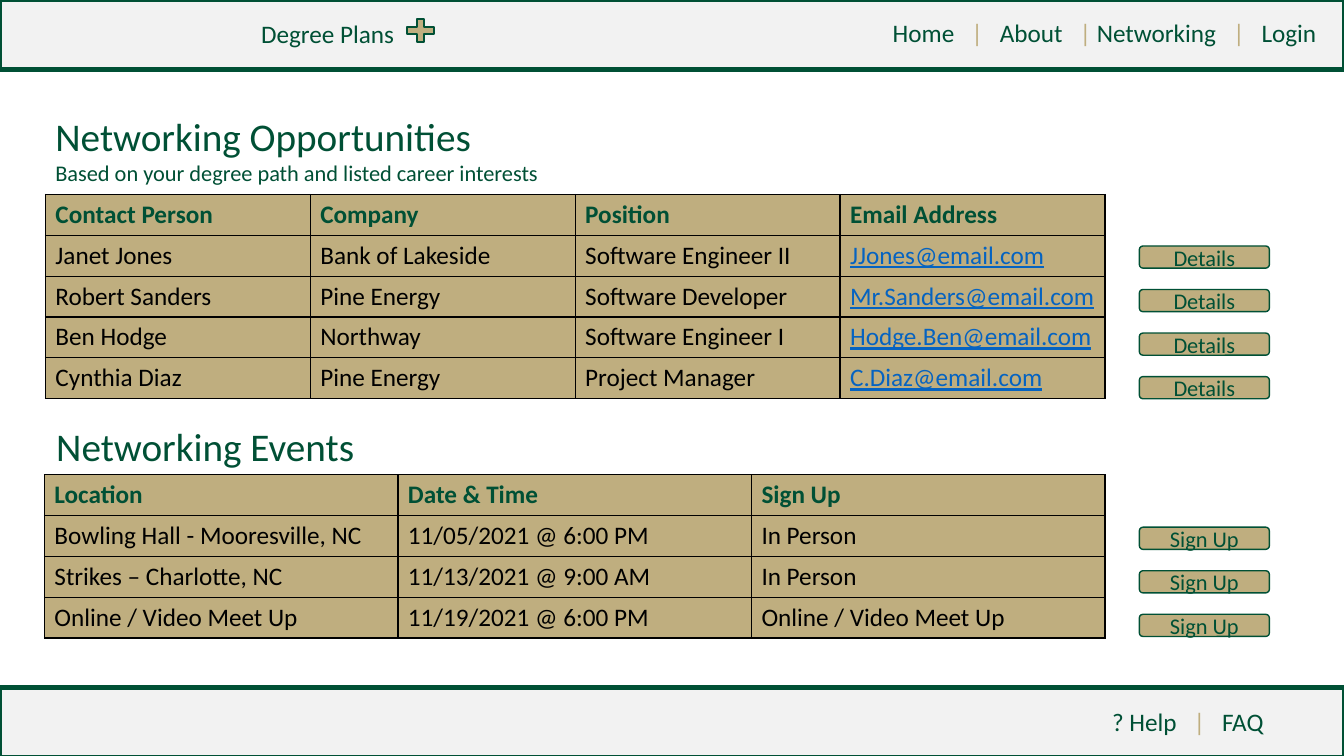
from lxml import etree
from pptx import Presentation
from pptx.dml.color import RGBColor
from pptx.enum.shapes import MSO_SHAPE
from pptx.enum.text import MSO_ANCHOR, PP_ALIGN
from pptx.oxml.ns import qn
from pptx.util import Inches, Pt

RECT = MSO_SHAPE.RECTANGLE
ROUND = MSO_SHAPE.ROUNDED_RECTANGLE
PLUS = MSO_SHAPE.MATH_PLUS
LEFT, CENTER = PP_ALIGN.LEFT, PP_ALIGN.CENTER
TOP, MIDDLE = MSO_ANCHOR.TOP, MSO_ANCHOR.MIDDLE
GREEN, GOLD, GRAY = "005035", "BFAE7F", "F2F2F2"
BLACK, BLUE = "000000", "0563C1"


def color(code):
    return RGBColor.from_string(code)


def write(frame, text, size=18, ink=GREEN, bold=False, under=False,
          align=LEFT, gap=0):
    para = frame.paragraphs[0]
    para.alignment = align
    run = para.add_run()
    run.text = text
    font = run.font
    font.name, font.size = "Calibri", Pt(size)
    font.bold, font.underline = bold, under
    font.color.rgb = color(ink)
    if gap:
        font._element.set("spc", str(gap * 100))


def border(cell):
    props = cell._tc.get_or_add_tcPr()
    for side in ("lnL", "lnR", "lnT", "lnB"):
        line = etree.SubElement(props, qn("a:" + side), w=str(Pt(1)))
        fill = etree.SubElement(line, qn("a:solidFill"))
        etree.SubElement(fill, qn("a:srgbClr"), val=BLACK)


class Page:
    def __init__(self, slide):
        self.slide = slide
        self.shapes = slide.shapes

    def title(self, text, *box):
        item = self.shapes.title
        item.left, item.top, item.width, item.height = map(Inches, box)
        item.text_frame.vertical_anchor = TOP
        item.text_frame.word_wrap = True
        write(item.text_frame, text, size=28)

    def text(self, text, *box, **style):
        frame = self.shapes.add_textbox(*map(Inches, box)).text_frame
        frame.word_wrap = True
        if text:
            write(frame, text, **style)
        return frame

    def menu(self, names, tight, *box):
        frame = self.text("", *box)
        for i, name in enumerate(names):
            if i:
                write(frame, " ", align=CENTER, gap=8)
                write(frame, "|", ink=GOLD, align=CENTER,
                      gap=0 if name == tight else 8)
                name = " " + name
            write(frame, name, align=CENTER)

    def shape(self, kind, *box, fill=GOLD, width=1, text=""):
        item = self.shapes.add_shape(kind, *map(Inches, box))
        item.shadow.inherit = False
        item.fill.solid()
        item.fill.fore_color.rgb = color(fill)
        item.line.color.rgb = color(GREEN)
        item.line.width = Pt(width)
        if text:
            item.text_frame.vertical_anchor = MIDDLE
            write(item.text_frame, text, size=16, align=CENTER)

    def table(self, rows, left, top, width):
        high = 0.405
        grid = self.shapes.add_table(
            len(rows), len(rows[0]), Inches(left), Inches(top),
            Inches(width), Inches(high * len(rows))).table
        for r, row in enumerate(rows):
            for c, text in enumerate(row):
                cell = grid.cell(r, c)
                border(cell)
                cell.fill.solid()
                cell.fill.fore_color.rgb = color(GOLD)
                mail = "@email" in text
                ink = GREEN if r == 0 else BLUE if mail else BLACK
                write(cell.text_frame, text, ink=ink, bold=r == 0, under=mail)

    def buttons(self, text, count, top):
        for i in range(count):
            self.shape(ROUND, 11.3, top + i * 0.432, 1.29, 0.22, text=text)


PEOPLE = [
    ("Contact Person", "Company", "Position", "Email Address"),
    ("Janet Jones", "Bank of Lakeside", "Software Engineer II",
     "JJones@email.com"),
    ("Robert Sanders", "Pine Energy", "Software Developer",
     "Mr.Sanders@email.com"),
    ("Ben Hodge", "Northway", "Software Engineer I", "Hodge.Ben@email.com"),
    ("Cynthia Diaz", "Pine Energy", "Project Manager", "C.Diaz@email.com"),
]
EVENTS = [
    ("Location", "Date & Time", "Sign Up"),
    ("Bowling Hall - Mooresville, NC", "11/05/2021 @ 6:00 PM", "In Person"),
    ("Strikes – Charlotte, NC", "11/13/2021 @ 9:00 AM", "In Person"),
    ("Online / Video Meet Up", "11/19/2021 @ 6:00 PM",
     "Online / Video Meet Up"),
]

deck = Presentation()
deck.slide_width, deck.slide_height = Inches(13.33), Inches(7.5)
page = Page(deck.slides.add_slide(deck.slide_layouts[5]))

page.title("Networking Opportunities", 0.45, 1.06, 4.61, 0.57)
page.text("Based on your degree path and listed career interests",
          0.45, 1.53, 5.92, 0.37, size=16)
page.table(PEOPLE, 0.45, 1.93, 10.51)
page.text("Networking Events", 0.46, 4.14, 3.27, 0.57, size=28)
page.table(EVENTS, 0.44, 4.71, 10.52)

for top in (6.82, 0):
    page.shape(RECT, 0, top, 13.33, 0.69, fill=GRAY, width=3)
page.menu(("? Help", "FAQ"), None, 10.84, 6.96, 1.88, 0.4)
page.menu(("Home", "About", "Networking", "Login"), "Networking",
          8.57, 0.12, 4.77, 0.4)
page.text("Degree Plans", 1.21, 0.13, 4.08, 0.4, align=CENTER)
page.shape(PLUS, 3.99, 0.15, 0.36, 0.31, width=1.5)

page.buttons("Details", 4, 2.44)
page.buttons("Sign Up", 3, 5.23)

deck.save("out.pptx")
